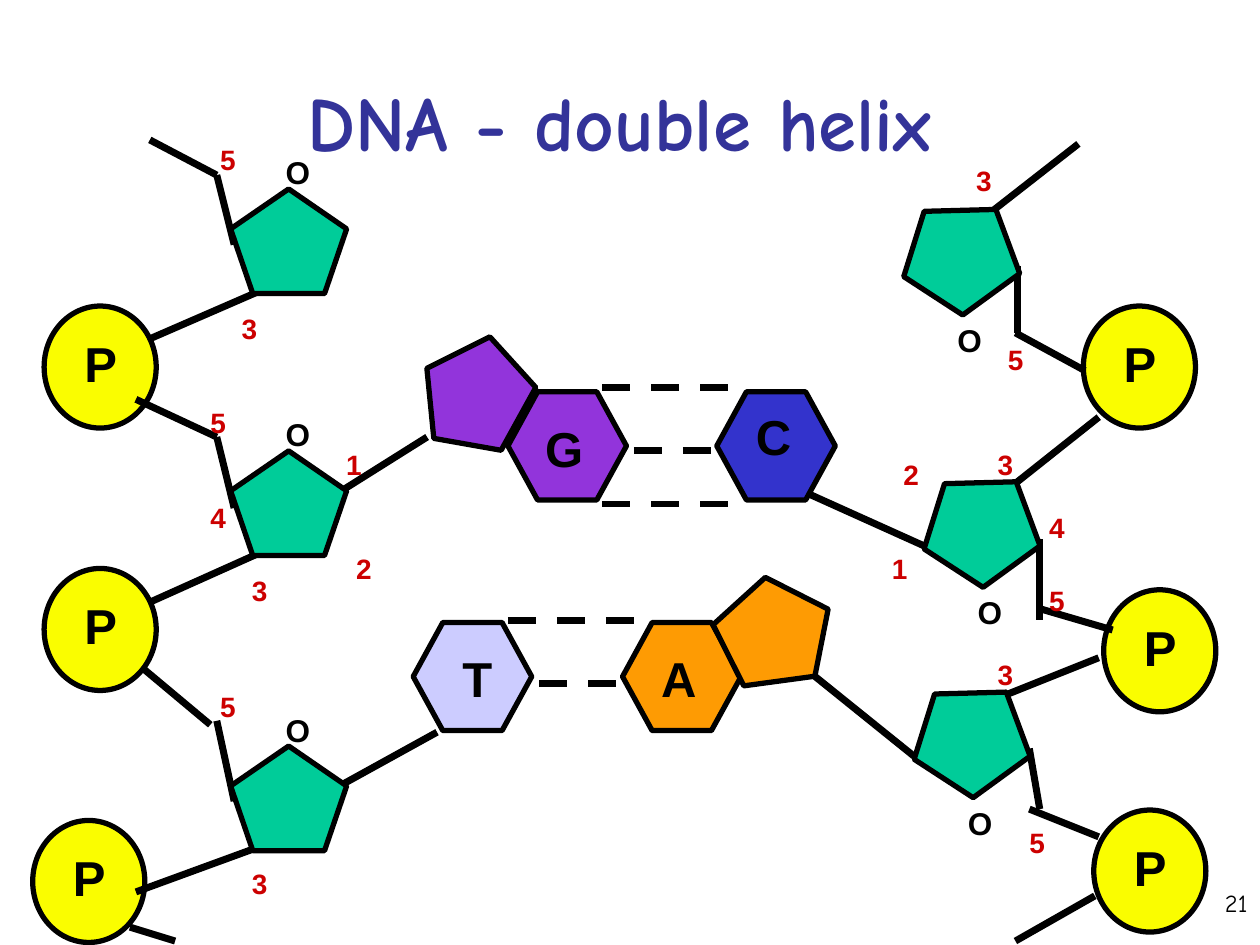
from dataclasses import dataclass
from typing import Any

from lxml.etree import SubElement
from pptx import Presentation
from pptx.dml.color import RGBColor
from pptx.enum.dml import MSO_LINE
from pptx.enum.shapes import MSO_CONNECTOR, MSO_SHAPE
from pptx.enum.text import MSO_ANCHOR, MSO_AUTO_SIZE, PP_ALIGN
from pptx.oxml.ns import qn
from pptx.util import Cm, Pt

COLORS = {
    "ink": "000000",
    "title": "333399",
    "number": "CC0000",
    "phosphate": "FAFD00",
    "sugar": "00CC99",
    "guanine": "9234DB",
    "cytosine": "3333CC",
    "thymine": "CCCCFF",
    "adenine": "FE9B03",
}
RING = (2.34, 2.11)
HEXAGON = (2.39, 2.18)
PHOSPHATE = (2.26, 2.46)


@dataclass
class Region:
    """A set of shapes whose parts are placed in cm from its top left corner."""
    shapes: Any
    left: float
    top: float

    def at(self, x, y):
        return Cm(self.left + x), Cm(self.top + y)


def color(name):
    return RGBColor.from_string(COLORS[name])


def add_text(region, text, x, y, width, height, size=16, ink="ink", font="Arial",
             bold=True, align=PP_ALIGN.LEFT, anchor=MSO_ANCHOR.TOP, wrap=False):
    box = region.shapes.add_textbox(*region.at(x, y), Cm(width), Cm(height))
    frame = box.text_frame
    frame.word_wrap = wrap
    frame.auto_size = MSO_AUTO_SIZE.NONE if wrap else MSO_AUTO_SIZE.SHAPE_TO_FIT_TEXT
    frame.vertical_anchor = anchor
    para = frame.paragraphs[0]
    para.alignment = align
    span = para.add_run()
    span.text = text
    span.font.name = font
    span.font.size = Pt(size)
    span.font.bold = bold
    span.font.color.rgb = color(ink)


def add_solid(region, kind, x, y, size, fill, rotation=0):
    shape = region.shapes.add_shape(kind, *region.at(x, y), *map(Cm, size))
    shape.shadow.inherit = False
    shape.fill.solid()
    shape.fill.fore_color.rgb = color(fill)
    shape.line.color.rgb = color("ink")
    shape.line.width = Pt(3)
    shape.rotation = rotation
    return shape


def add_bond(region, x1, y1, x2, y2, dashed=False):
    bond = region.shapes.add_connector(
        MSO_CONNECTOR.STRAIGHT, *region.at(x1, y1), *region.at(x2, y2))
    bond.line.color.rgb = color("ink")
    bond.line.width = Pt(4)
    if dashed:
        bond.line.dash_style = MSO_LINE.DASH
    SubElement(bond._element.spPr, qn("a:effectLst"))


def add_strand(region, base_bonds, phosphates, bonds, sugars, numbers,
               oxygen_offset, rotation=0):
    for ends in base_bonds:
        add_bond(region, *ends)
    for x, y in phosphates:
        add_solid(region, MSO_SHAPE.OVAL, x, y, PHOSPHATE, "phosphate")
    for ends in bonds:
        add_bond(region, *ends)
    for x, y in phosphates:
        add_text(region, "P", x + 0.56, y + 0.43, 1.17, 1.42, size=28)
    for x, y in sugars:
        add_text(region, "O", x + oxygen_offset[0], y + oxygen_offset[1],
                 0.99, 1.02, size=18)
    for text, x, y in numbers:
        add_text(region, text, x, y, 0.81, 0.91, ink="number")
    for x, y in sugars:
        add_solid(region, MSO_SHAPE.REGULAR_PENTAGON, x, y, RING, "sugar", rotation)


def add_base_pair(region, bases, hydrogen_bonds, ring):
    """Bases are (letter, fill, hexagon x, y, letter x, y, letter width)."""
    for _, fill, x, y, *_ in bases:
        hexagon = add_solid(region, MSO_SHAPE.HEXAGON, x, y, HEXAGON, fill)
        hexagon.adjustments[0] = 0.274
    for start, end, y in hydrogen_bonds:
        add_bond(region, start, y, end, y, dashed=True)
    for letter, _, _, _, x, y, width in bases:
        add_text(region, letter, x, y, width, 1.42, size=28)
    x, y, fill, rotation = ring
    add_solid(region, MSO_SHAPE.REGULAR_PENTAGON, x, y, RING, fill, rotation)


def add_heading(region):
    add_text(region, "DNA - double helix", 1.7, 0.84, 21.59, 3.18, size=44,
             ink="title", font="Comic Neue", align=PP_ALIGN.CENTER,
             anchor=MSO_ANCHOR.MIDDLE, wrap=True)


def add_page_number(region):
    add_text(region, "21", 20.12, 17.78, 5.28, 1.27, size=14, font="Comic Neue",
             bold=False, align=PP_ALIGN.RIGHT, wrap=True)


def main():
    deck = Presentation()
    deck.slide_width, deck.slide_height = Cm(25.4), Cm(19.05)
    page = deck.slides.add_slide(deck.slide_layouts[6])

    def group(left, top):
        return Region(page.shapes.add_group_shape().shapes, left, top)

    whole = Region(page.shapes, 0, 0)
    add_page_number(whole)
    add_heading(whole)
    add_strand(
        group(0.6, 2.7),
        base_bonds=[(6.18, 7.26, 8.01, 6.11), (6.18, 13.18, 8.21, 12.06)],
        phosphates=[(0.29, 8.76), (0.06, 13.84), (0.29, 3.47)],
        bonds=[
            (2.14, 5.35, 3.77, 6.11), (4.12, 7.54, 3.77, 6.11),
            (4.12, 13.45, 3.77, 11.83), (3.64, 11.91, 2.3, 10.79),
            (2.42, 9.44, 4.63, 8.45), (2.14, 15.28, 4.63, 14.37),
            (2.02, 15.99, 2.93, 16.27), (2.42, 4.13, 4.63, 3.17),
            (4.12, 2.23, 3.77, 0.83), (2.42, 0.12, 3.77, 0.83),
        ],
        sugars=[(4.05, 12.34), (4.05, 6.39), (4.05, 1.11)],
        numbers=[
            ("1", 6.13, 6.19), ("2", 6.33, 8.3), ("3", 4.23, 8.73),
            ("4", 3.39, 7.26), ("5", 3.39, 5.35), ("5", 3.59, 11.07),
            ("3", 4.23, 14.65), ("3", 4.02, 3.45), ("5", 3.59, 0.04),
        ],
        oxygen_offset=(0.86, -0.84),
    )
    add_strand(
        group(16.2, 2.7),
        base_bonds=[(0.11, 7.26, 2.42, 8.3), (0.11, 10.84, 2.22, 12.54)],
        phosphates=[(5.85, 13.63), (6.05, 9.19), (5.64, 3.47)],
        bonds=[
            (4.55, 12.39, 4.76, 13.61), (4.76, 8.17, 4.76, 9.8),
            (4.55, 13.61, 5.95, 14.17), (4.76, 9.57, 6.23, 10),
            (4.2, 7.1, 5.95, 5.71), (3.97, 11.35, 5.95, 10.56),
            (5.87, 15.36, 4.27, 16.27), (5.67, 4.77, 4.27, 4.01),
            (4.32, 2.66, 4.32, 4.01), (3.76, 1.59, 5.54, 0.2),
        ],
        sugars=[(2.22, 11.27), (2.42, 7.03), (2.01, 1.54)],
        numbers=[
            ("1", 1.53, 8.3), ("2", 1.76, 6.39), ("3", 3.66, 6.19),
            ("4", 4.7, 7.46), ("5", 4.7, 8.93), ("5", 4.3, 13.81),
            ("3", 3.66, 10.43), ("5", 3.87, 4.08), ("3", 3.23, 0.48),
        ],
        oxygen_offset=(0.84, 2.11),
        rotation=178.5,
    )
    add_base_pair(
        group(8.3, 6.8),
        bases=[("G", "guanine", 1.94, 1.1, 2.44, 1.51, 1.27),
               ("C", "cytosine", 6.15, 1.1, 6.69, 1.28, 1.22)],
        hydrogen_bonds=[(3.84, 6.66, 1.02), (4.48, 6.03, 2.29), (3.84, 6.66, 3.36)],
        ring=(0.06, 0.08, "guanine", 298.9),
    )
    add_base_pair(
        group(8.3, 11.6),
        bases=[("A", "adenine", 4.25, 0.95, 4.78, 1.35, 1.22),
               ("T", "thymine", 0.03, 0.95, 0.77, 1.35, 1.12)],
        hydrogen_bonds=[(2.57, 4.32, 2.17), (1.94, 4.76, 0.9)],
        ring=(6.1, 0.03, "adenine", 352.3),
    )
    deck.save("out.pptx")


if __name__ == "__main__":
    main()
